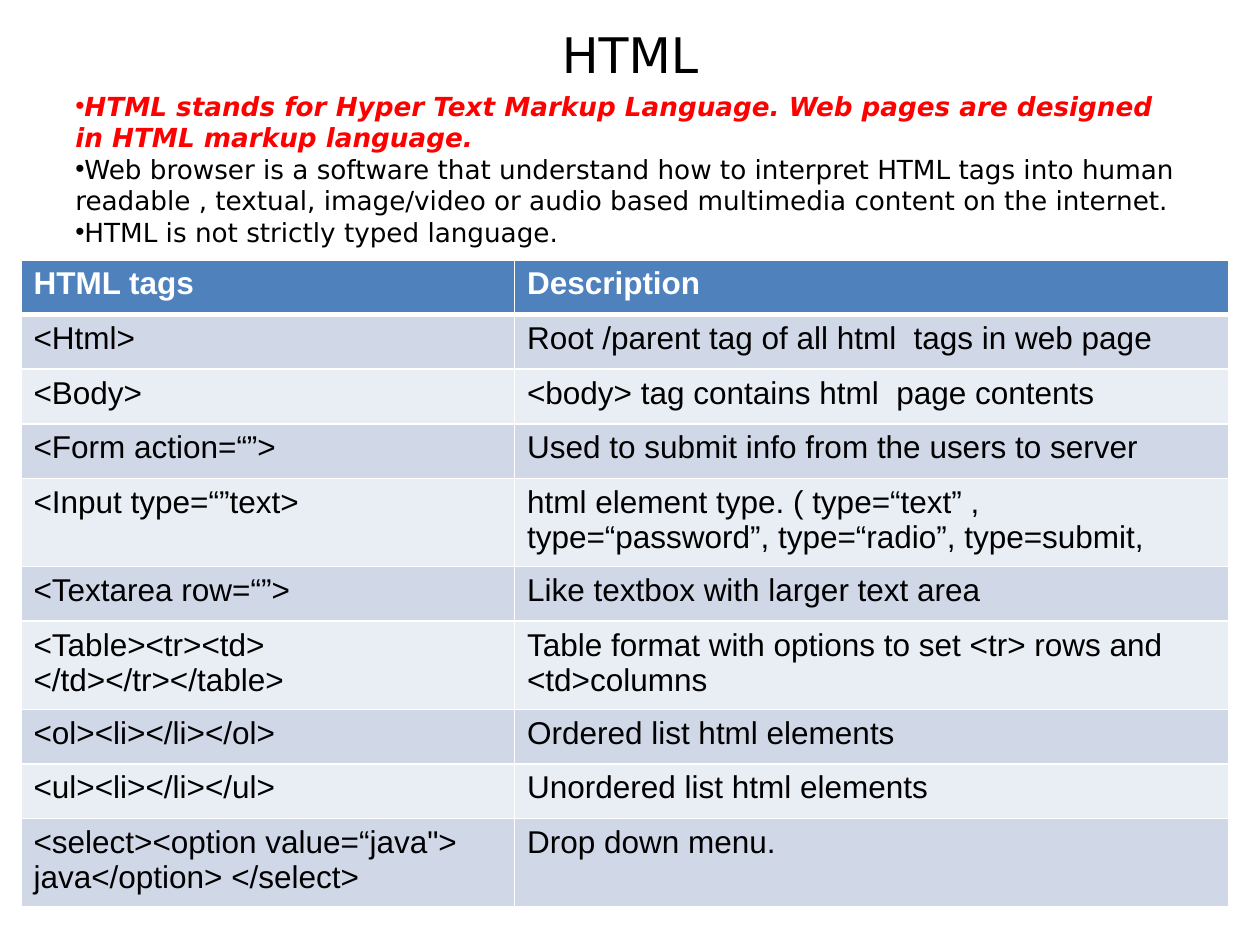
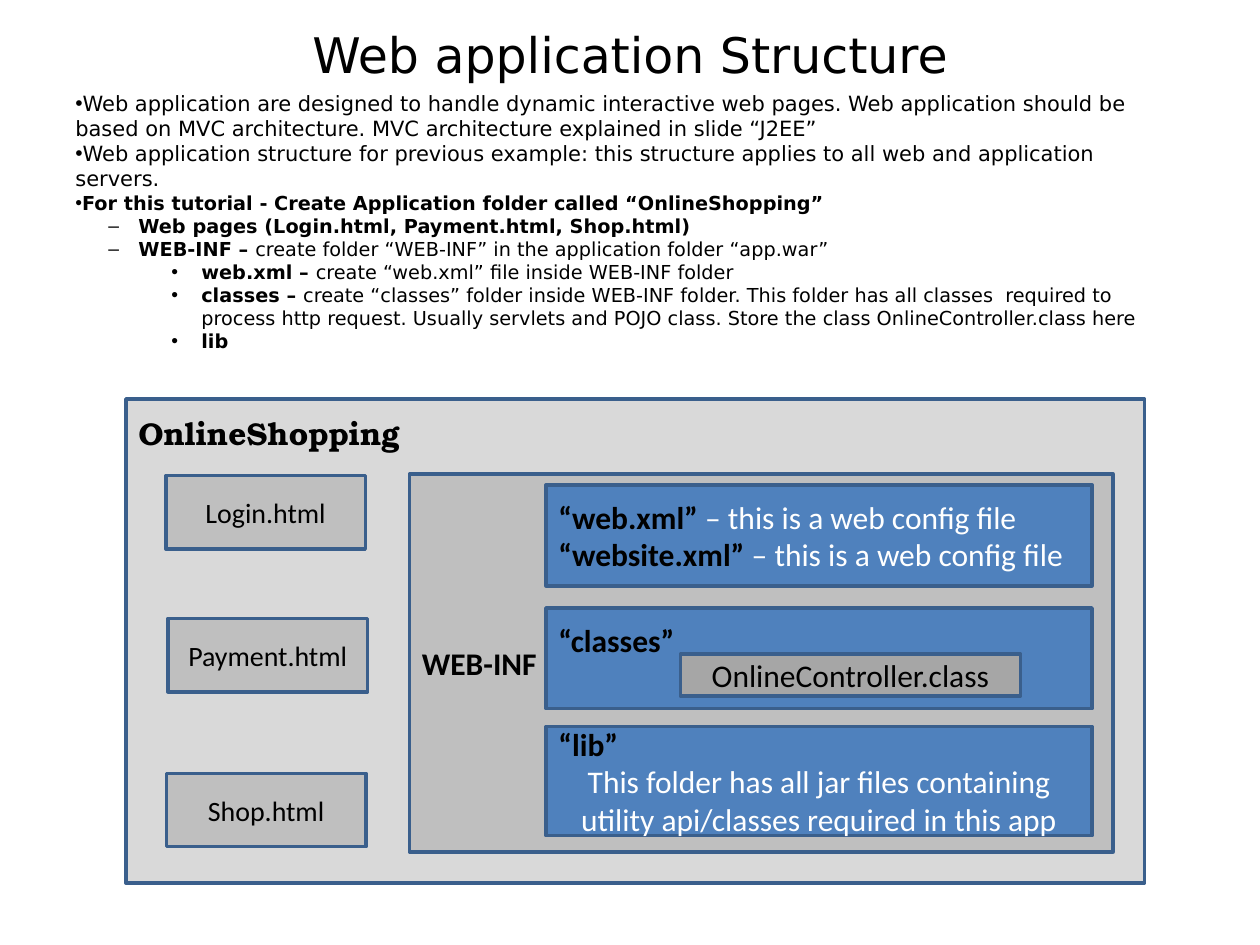
import lxml.etree
import pptx
import pptx.dml.color
import pptx.enum.shapes
import pptx.enum.text
import pptx.oxml.ns
import pptx.util

RGB = pptx.dml.color.RGBColor
ALIGN = pptx.enum.text.PP_ALIGN
ANCHOR = pptx.enum.text.MSO_ANCHOR
Pt = pptx.util.Pt
qn = pptx.oxml.ns.qn

# Colours and fonts
BLACK = RGB(0x00, 0x00, 0x00)
WHITE = RGB(0xFF, 0xFF, 0xFF)
RED = RGB(0xFF, 0x00, 0x00)
BLUE = RGB(0x4F, 0x81, 0xBD)
OUTLINE = RGB(0x3A, 0x5F, 0x8C)
BAND_DARK = RGB(0xD0, 0xD8, 0xE8)
BAND_LIGHT = RGB(0xE9, 0xED, 0xF4)
GREY_LIGHT = RGB(0xD9, 0xD9, 0xD9)
GREY = RGB(0xBF, 0xBF, 0xBF)
GREY_DARK = RGB(0xA6, 0xA6, 0xA6)

# Grid of 120 columns by 90 rows, twelve to the inch
UNIT = pptx.util.Inches(1) / 12

# Text formats
TITLE = {"name": "DejaVu Sans", "size": Pt(28), "color": BLACK}
BODY = {**TITLE, "size": Pt(15)}
SMALL = {**TITLE, "size": Pt(12)}
DETAIL = {**TITLE, "size": Pt(11)}
DETAIL_BOLD = {**DETAIL, "bold": True}
CELL = {"name": "Arial", "size": Pt(18), "color": BLACK, "bold": False}
HEADER = {**CELL, "color": WHITE, "bold": True}
LABEL = {"name": "Calibri", "size": Pt(18), "color": BLACK}
LABEL_BOLD = {**LABEL, "bold": True}
NOTE = {**LABEL, "color": WHITE}
PAGE = {**LABEL, "size": Pt(16)}
FOLDER = {**LABEL_BOLD, "name": "TeX Gyre Bonum"}

BULLETS = "•–•"  # one for each outline level

HTML_POINTS = [
    (0, [("HTML stands for Hyper Text Markup Language. Web pages are designed "
          "in HTML markup language.",
          {**BODY, "color": RED, "bold": True, "italic": True})]),
    (0, [("Web browser is a software that understand how to interpret HTML tags "
          "into human readable , textual, image/video or audio based multimedia "
          "content on the internet.", BODY)]),
    (0, [("HTML is not strictly typed language. ", BODY)]),
]

# Lines of text in the row, tag, description
TAGS = [
    (1, "HTML tags", "Description"),
    (1, "<Html>", "Root /parent tag of all html  tags in web page"),
    (1, "<Body>", "<body> tag contains html  page contents"),
    (1, "<Form action=“”>", "Used to submit info from the users to server"),
    (2, "<Input type=“”text>", "html element type. ( type=“text” , "
     "type=“password”, type=“radio”, type=submit, "),
    (1, "<Textarea row=“”>", "Like textbox with larger text area"),
    (2, "<Table><tr><td>\n</td></tr></table>",
     "Table format with options to set <tr> rows and <td>columns"),
    (1, "<ol><li></li></ol>", "Ordered list html elements"),
    (1, "<ul><li></li></ul>", "Unordered list html elements"),
    (2, "<select><option value=“java\"> java</option> </select>",
     "Drop down menu."),
]
ROW_HEIGHTS = {1: 5.2, 2: 7.93}

STRUCTURE_POINTS = [
    (0, [("Web application are designed to handle dynamic interactive web pages. "
          "Web application should be  based on MVC architecture. MVC "
          "architecture explained in slide “J2EE”", SMALL)]),
    (0, [("Web application structure for previous example: this structure "
          "applies to all web and application servers.", SMALL)]),
    (0, [("For this tutorial - Create Application folder called "
          "“OnlineShopping”", DETAIL_BOLD)]),
    (1, [("Web pages (Login.html, Payment.html, Shop.html)", DETAIL_BOLD)]),
    (1, [("WEB-INF – ", DETAIL_BOLD),
         ("create folder “WEB-INF” in the application folder “app.war”",
          DETAIL)]),
    (2, [("web.xml – ", DETAIL_BOLD),
         ("create “web.xml” file inside WEB-INF folder", DETAIL)]),
    (2, [("classes – ", DETAIL_BOLD),
         ("create “classes” folder inside WEB-INF folder. This folder has all "
          "classes  required to process http request. Usually servlets and POJO "
          "class. Store the class OnlineController.class here", DETAIL)]),
    (2, [("lib", DETAIL_BOLD)]),
]


def grid(*cells):
    """Turn columns and rows of the grid into lengths."""
    return [round(c * UNIT) for c in cells]


def add_runs(p, runs):
    for text, fmt in runs:
        r = p.add_run()
        r.text = text
        for key, value in fmt.items():
            if key == "color":
                r.font.color.rgb = value
            else:
                setattr(r.font, key, value)


def write(tf, paragraphs, anchor=ANCHOR.TOP):
    """Fill a frame from (alignment, runs) pairs; return its paragraphs."""
    tf.word_wrap = True
    tf.vertical_anchor = anchor
    for i, (align, runs) in enumerate(paragraphs):
        p = tf.add_paragraph() if i else tf.paragraphs[0]
        p.alignment = align
        add_runs(p, runs)
    return tf.paragraphs


def add_title(s, text):
    tf = s.shapes.add_textbox(*grid(6, 0.4, 108, 9.4)).text_frame
    write(tf, [(ALIGN.CENTER, [(text, TITLE)])], ANCHOR.MIDDLE)


def add_outline(s, points):
    tf = s.shapes.add_textbox(*grid(6, 8, 108, 75)).text_frame
    paragraphs = write(tf, [(ALIGN.LEFT, runs) for _, runs in points])
    for p, (level, _) in zip(paragraphs, points):
        p.level = level
        pPr = p._p.get_or_add_pPr()
        pPr.set("marL", str(grid(6 * level)[0]))
        pPr.set("indent", str(grid(-2.85 if level else 0)[0]))
        bullet_font = lxml.etree.SubElement(pPr, qn("a:buFont"))
        bullet_font.set("typeface", "Arial")
        lxml.etree.SubElement(pPr, qn("a:buChar")).set("char", BULLETS[level])


def add_borders(cell, widths):
    tcPr = cell._tc.get_or_add_tcPr()
    for side, width in widths.items():
        ln = lxml.etree.SubElement(tcPr, qn("a:ln" + side), w=str(Pt(width)))
        fill = lxml.etree.SubElement(ln, qn("a:solidFill"))
        lxml.etree.SubElement(fill, qn("a:srgbClr"), val=str(WHITE))


def add_tag_table(s):
    columns = grid(47, 68)
    heights = grid(*(ROW_HEIGHTS[lines] for lines, *_ in TAGS))
    left, top = grid(2, 24.77)
    table = s.shapes.add_table(len(TAGS), len(columns), left, top, sum(columns),
                               sum(heights)).table
    for column, width in zip(table.columns, columns):
        column.width = width
    for i, (_, *texts) in enumerate(TAGS):
        table.rows[i].height = heights[i]
        color = (BAND_DARK if i % 2 else BAND_LIGHT) if i else BLUE
        for j, text in enumerate(texts):
            cell = table.cell(i, j)
            # The rule under the header is heavier
            add_borders(cell, {"L": 1, "R": 1, "T": 3 if i == 1 else 1,
                               "B": 1 if i else 3})
            cell.fill.solid()
            cell.fill.fore_color.rgb = color
            fmt = CELL if i else HEADER
            write(cell.text_frame, [(ALIGN.LEFT, [(line, fmt)])
                                    for line in text.split("\n")])


def add_box(s, place, color, paragraphs, top_inset=None):
    """Outlined box; text is centred in height unless an inset is given."""
    sp = s.shapes.add_shape(pptx.enum.shapes.MSO_SHAPE.RECTANGLE, *grid(*place))
    sp.shadow.inherit = False
    sp.fill.solid()
    sp.fill.fore_color.rgb = color
    sp.line.color.rgb = OUTLINE
    sp.line.width = Pt(2)
    if top_inset is None:
        write(sp.text_frame, paragraphs, ANCHOR.MIDDLE)
    else:
        sp.text_frame.margin_top = pptx.util.Inches(top_inset)
        write(sp.text_frame, paragraphs)


def add_folder_diagram(s):
    # Application folder and WEB-INF inside it
    add_box(s, (12, 38, 97, 46.1), GREY_LIGHT,
            [(ALIGN.LEFT, [("OnlineShopping", FOLDER)])], 0.12)
    add_box(s, (39, 45.15, 67, 36), GREY,
            [(ALIGN.LEFT, [("WEB-INF", LABEL_BOLD)])])

    # Contents of WEB-INF
    config = [(ALIGN.LEFT, [(f"“{name}.xml” ", LABEL_BOLD),
                            ("– this is a web config file", NOTE)])
              for name in ("web", "website")]
    lib = [(ALIGN.LEFT, [("“lib”", LABEL_BOLD)]),
           (ALIGN.CENTER, [("This folder has all jar files containing utility "
                            "api/classes required in this app", NOTE)])]
    classes = [(ALIGN.LEFT, [("“classes”", LABEL_BOLD)])]
    for row, height, paragraphs, inset in ((46.2, 9.6, config, None),
                                           (57.9, 9.6, classes, 0.1),
                                           (69.2, 10.4, lib, None)):
        add_box(s, (52, row, 52, height), BLUE, paragraphs, inset)
    add_box(s, (64.8, 62.3, 32.4, 4), GREY_DARK,
            [(ALIGN.CENTER, [("OnlineController.class", LABEL)])])

    # Web pages
    for name, column, row in (("Login", 15.8, 45.3), ("Payment", 16, 58.9),
                              ("Shop", 15.85, 73.65)):
        add_box(s, (column, row, 19, 7), GREY,
                [(ALIGN.CENTER, [(name + ".html", PAGE)])])


def main():
    prs = pptx.Presentation()
    prs.slide_width, prs.slide_height = grid(120, 90)
    for title, points, add_content in (
            ("HTML", HTML_POINTS, add_tag_table),
            ("Web application Structure", STRUCTURE_POINTS, add_folder_diagram)):
        s = prs.slides.add_slide(prs.slide_layouts[6])
        add_title(s, title)
        add_outline(s, points)
        add_content(s)
    prs.save("out.pptx")


main()
